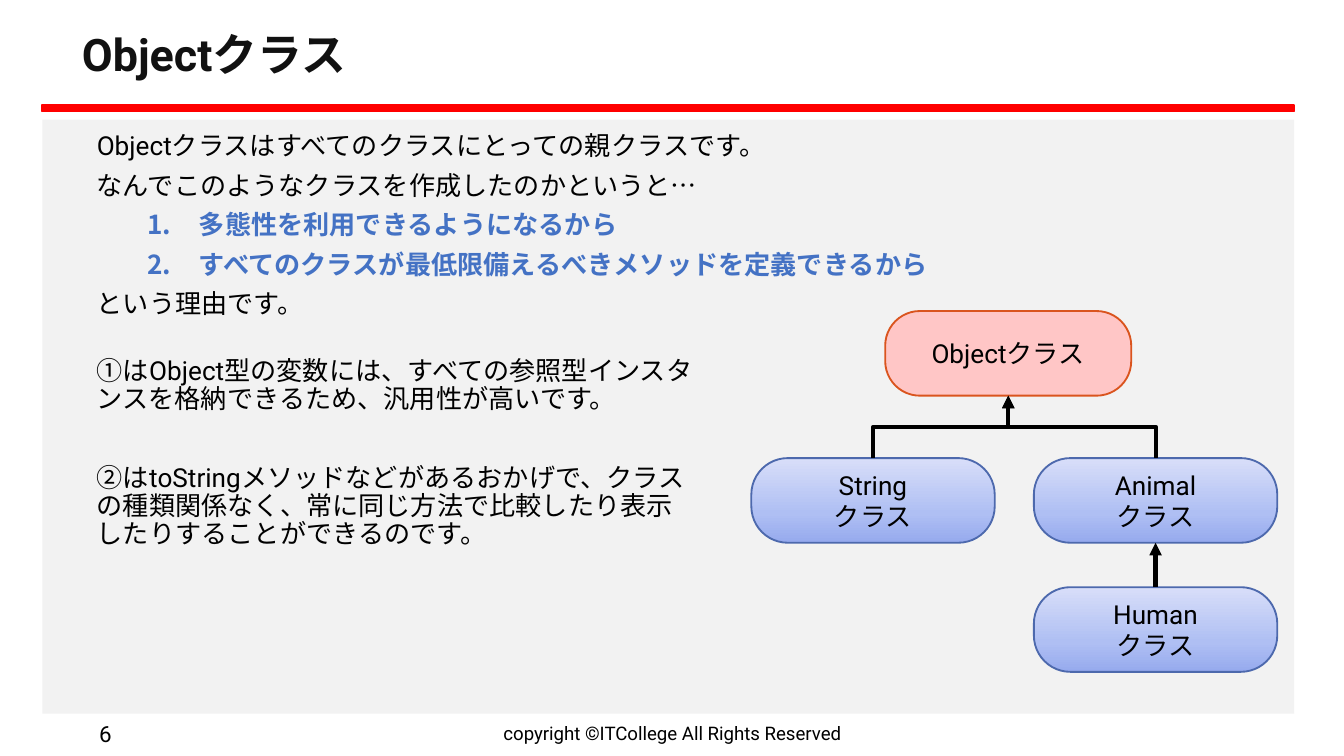
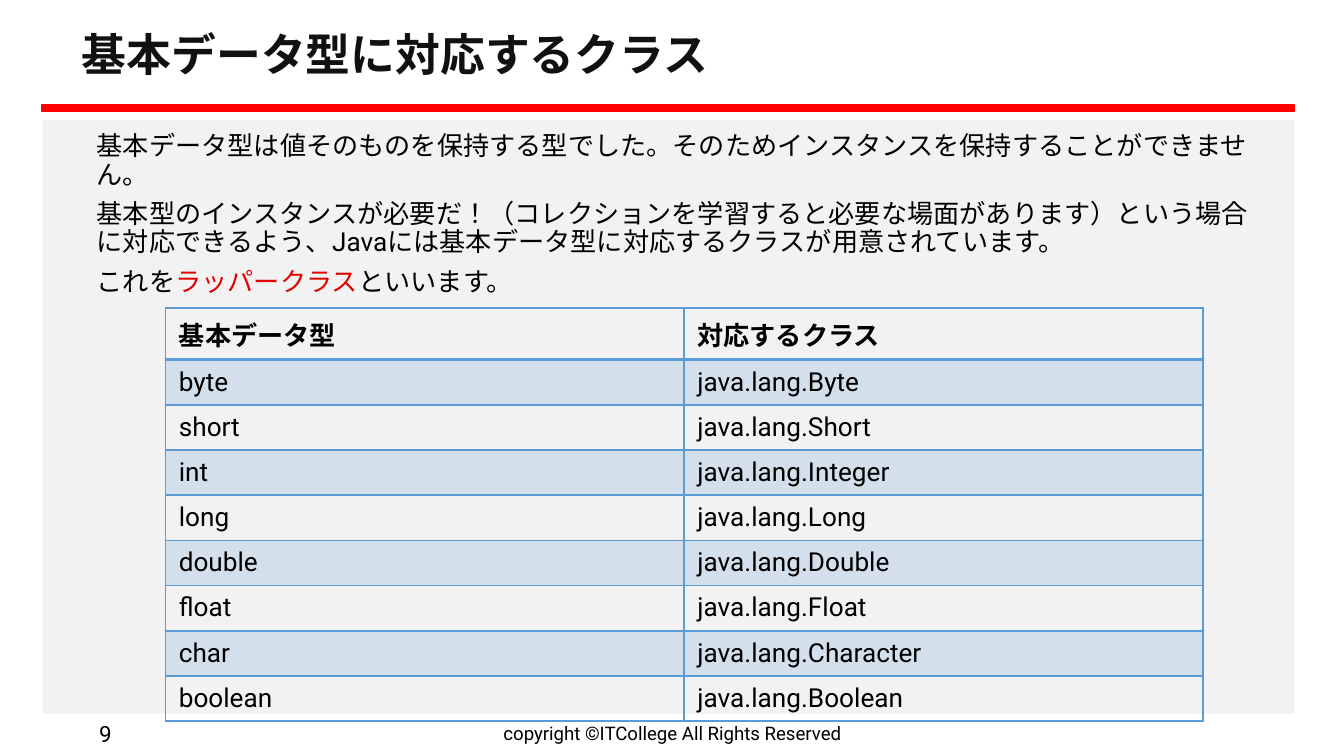
"""Build two slides on the Java Object class and the wrapper classes."""
from copy import deepcopy
from dataclasses import dataclass
from typing import Any, NamedTuple

from lxml import etree
from pptx import Presentation
from pptx.dml.color import RGBColor
from pptx.enum.lang import MSO_LANGUAGE_ID
from pptx.enum.shapes import MSO_CONNECTOR, MSO_SHAPE
from pptx.enum.text import MSO_ANCHOR, PP_ALIGN
from pptx.oxml.ns import qn
from pptx.util import Cm, Pt

RECT, ROUND = MSO_SHAPE.RECTANGLE, MSO_SHAPE.ROUNDED_RECTANGLE
STRAIGHT, ELBOW = MSO_CONNECTOR.STRAIGHT, MSO_CONNECTOR.ELBOW
LEFT, CENTER, RIGHT = PP_ALIGN.LEFT, PP_ALIGN.CENTER, PP_ALIGN.RIGHT
TOP, MIDDLE = MSO_ANCHOR.TOP, MSO_ANCHOR.MIDDLE
JAPANESE = MSO_LANGUAGE_ID.JAPANESE
UPPER_SIDE, LOWER_SIDE = 0, 2

COLORS = {
    "paper": "FFFFFF", "panel": "F2F2F2", "bar": "FF0000", "ink": "000000",
    "title": "111111", "reason": "4472C4", "term": "E10000",
    "root": "FFC6C6", "rim": "DA541E", "edge": "4D69AD", "grid": "5B9BD5",
    "deep": "96AAEE", "mid": "AFBFF3", "pale": "D8DEF9",
}
FADE = ((0, "deep"), (0.35, "mid"), (1, "pale"))
FONT = {"name": "Roboto", "language_id": JAPANESE}
PAD = {"margin_left": Cm(0.25), "margin_right": Cm(0.25),
       "margin_top": Cm(0.13), "margin_bottom": Cm(0.13), "word_wrap": True}
SIDES = ("L", "R", "T", "B")
THICK = {(0, "B"), (1, "T")}


class Box(NamedTuple):
    """Hold a place and a size in centimetres."""
    left: float
    top: float
    width: float
    height: float

    def emu(self) -> list[int]:
        """Return the four lengths for a shape call."""
        return [Cm(side) for side in self]


class Run(NamedTuple):
    """Hold text in one colour and weight."""
    text: str
    color: str = "ink"
    bold: bool = False


class Para(NamedTuple):
    """Hold the runs and indents of one paragraph."""
    runs: tuple[Run, ...]
    left: float = 0
    hang: float = 0
    before: float = 0
    number: bool = False


@dataclass(frozen=True)
class Look:
    """Hold the settings shared by one kind of text."""
    size: int
    align: Any = LEFT
    anchor: Any = MIDDLE
    lines: float = 1.0
    pad: float = 0.13


@dataclass(frozen=True)
class Node:
    """Describe one class in the tree."""
    name: str
    box: Box
    lines: tuple[str, ...]
    round: float = 0.43
    root: bool = False


TITLE = Look(24, lines=0.9, pad=0.25)
BODY = Look(14, anchor=TOP, lines=0.9)
NODE = Look(14, CENTER)
CELL = Look(14, anchor=TOP)
FOOT = Look(10, CENTER)
PAGE = Look(12, RIGHT)

PANEL_BOX = Box(0.8, 2.26, 23.66, 11.23)
BAR_BOX = Box(0.8, 1.98, 23.66, 0.13)
TITLE_BOX = Box(1.3, 0.33, 22.83, 1.5)
FOOT_BOX = Box(8.41, 13.51, 8.59, 0.71)
PAGE_BOX = Box(0.61, 13.51, 1.75, 0.71)
NOTE_BOX = Box(1.3, 6.63, 12.17, 6.58)

NODES = (
    Node("Object", Box(16.73, 5.88, 4.65, 1.6), ("Objectクラス",), 0.41, True),
    Node("String", Box(14.2, 8.66, 4.6, 1.6), ("String", "クラス")),
    Node("Animal", Box(19.54, 8.66, 4.6, 1.6), ("Animal", "クラス")),
    Node("Human", Box(19.54, 11.1, 4.6, 1.6), ("Human", "クラス")),
)
LINKS = (("String", "Object"), ("Animal", "Object"), ("Human", "Animal"))
ROWS = (
    ("基本データ型", "対応するクラス"),
    ("byte", "java.lang.Byte"), ("short", "java.lang.Short"),
    ("int", "java.lang.Integer"), ("long", "java.lang.Long"),
    ("double", "java.lang.Double"), ("float", "java.lang.Float"),
    ("char", "java.lang.Character"), ("boolean", "java.lang.Boolean"),
)


def rgb(name: str) -> RGBColor:
    """Return a named colour."""
    return RGBColor.from_string(COLORS[name])


def apply(target: Any, values: dict[str, Any]) -> None:
    """Set each value as an attribute of the target."""
    for key, value in values.items():
        setattr(target, key, value)


def plain(text: str, color: str = "ink", bold: bool = False) -> Para:
    """Return a paragraph of one run."""
    return Para((Run(text, color, bold),))


def prose(*runs: Run, before: float = 6) -> Para:
    """Return a body paragraph."""
    return Para(runs, 0.28, before=before)


def reason(text: str) -> Para:
    """Return a numbered body paragraph."""
    return Para((Run(text, "reason", True),), 2.21, -0.97, 6, True)


def write(frame: Any, paras: list[Para], look: Look) -> None:
    """Fill a text frame with paragraphs."""
    for index, para in enumerate(paras):
        line = frame.paragraphs[0] if index == 0 else frame.add_paragraph()
        props = line._p.get_or_add_pPr()
        props.set("marL", str(Cm(para.left)))
        props.set("indent", str(Cm(para.hang)))
        if para.number:
            etree.SubElement(props, qn("a:buAutoNum"), type="arabicPeriod")
        apply(line, {"alignment": look.align, "line_spacing": look.lines,
                     "level": int(para.number),
                     "space_before": Pt(para.before if index else 0)})
        for part in para.runs:
            run = line.add_run()
            run.text = part.text
            apply(run.font, FONT | {"size": Pt(look.size), "bold": part.bold})
            run.font.color.rgb = rgb(part.color)


def fit(frame: Any, look: Look) -> None:
    """Set the margins and anchor of a text frame."""
    apply(frame, PAD | {"margin_top": Cm(look.pad), "margin_bottom": Cm(look.pad),
                        "vertical_anchor": look.anchor})


def label(slide: Any, box: Box, paras: list[Para], look: Look) -> None:
    """Add a text box."""
    frame = slide.shapes.add_textbox(*box.emu()).text_frame
    fit(frame, look)
    write(frame, paras, look)


def block(slide: Any, box: Box, fill: str, line: str = "") -> None:
    """Add a plain rectangle."""
    shape = slide.shapes.add_shape(RECT, *box.emu())
    shape.shadow.inherit = False
    shape.fill.solid()
    shape.fill.fore_color.rgb = rgb(fill)
    if line:
        shape.line.color.rgb = rgb(line)
        shape.line.width = Pt(1)
    else:
        shape.line.fill.background()


def start(deck: Any, title: str, page: int) -> Any:
    """Add a slide with its shared parts."""
    slide = deck.slides.add_slide(deck.slide_layouts[6])
    slide.background.fill.solid()
    slide.background.fill.fore_color.rgb = rgb("paper")
    block(slide, PANEL_BOX, "panel")
    block(slide, BAR_BOX, "bar", "bar")
    label(slide, FOOT_BOX, [plain("copyright ©ITCollege All Rights Reserved")], FOOT)
    label(slide, TITLE_BOX, [plain(title, "title", True)], TITLE)
    label(slide, PAGE_BOX, [plain(str(page))], PAGE)
    return slide


def shade(shape: Any) -> None:
    """Fill a shape with the three-stop fade."""
    shape.fill.gradient()
    shape.fill.gradient_angle = 90
    stops = shape._element.spPr.find(qn("a:gradFill")).find(qn("a:gsLst"))
    stops.insert(1, deepcopy(stops[0]))
    for stop, (place, color) in zip(shape.fill.gradient_stops, FADE):
        stop.position = place
        stop.color.rgb = rgb(color)


def draw(slide: Any, node: Node) -> Any:
    """Add one class of the tree."""
    shape = slide.shapes.add_shape(ROUND, *node.box.emu())
    shape.shadow.inherit = False
    shape.adjustments[0] = node.round
    if node.root:
        shape.fill.solid()
        shape.fill.fore_color.rgb = rgb("root")
    else:
        shade(shape)
    shape.line.color.rgb = rgb("rim" if node.root else "edge")
    shape.line.width = Pt(1)
    fit(shape.text_frame, NODE)
    write(shape.text_frame, [plain(text) for text in node.lines], NODE)
    return shape


def link(slide: Any, child: Any, parent: Any) -> None:
    """Join a child to its parent with an arrow."""
    kind = STRAIGHT if child.left == parent.left else ELBOW
    arrow = slide.shapes.add_connector(kind, 0, 0, 0, 0)
    arrow.begin_connect(child, UPPER_SIDE)
    arrow.end_connect(parent, LOWER_SIDE)
    props = arrow._element.spPr
    if kind == ELBOW:
        wide, high = arrow.width, arrow.height
        flip = arrow.begin_x > arrow.end_x
        apply(arrow, {"left": arrow.left + (wide - high) // 2,
                      "top": arrow.top + (high - wide) // 2,
                      "width": high, "height": wide})
        frame = props.find(qn("a:xfrm"))
        for key, value in {"rot": 16200000, "flipH": 0, "flipV": int(flip)}.items():
            frame.set(key, str(value))
    arrow.line.color.rgb = rgb("ink")
    arrow.line.width = Pt(2.25)
    etree.SubElement(props.find(qn("a:ln")), qn("a:tailEnd"), type="triangle")
    etree.SubElement(props, qn("a:effectLst"))


def rule(cell: Any, row: int) -> None:
    """Draw the four borders of a cell."""
    props = cell._tc.get_or_add_tcPr()
    for side in SIDES:
        width = Pt(2 if (row, side) in THICK else 1)
        line = etree.SubElement(props, qn(f"a:ln{side}"), w=str(width))
        fill = etree.SubElement(line, qn("a:solidFill"))
        etree.SubElement(fill, qn("a:srgbClr"), val=COLORS["grid"])


def chart(slide: Any, box: Box) -> None:
    """Add the table of types and classes."""
    table = slide.shapes.add_table(len(ROWS), len(ROWS[0]), *box.emu()).table
    apply(table, {"first_row": False, "horz_banding": False})
    for row, texts in enumerate(ROWS):
        table.rows[row].height = Cm(0.84 if row else 0.98)
        for col, text in enumerate(texts):
            cell = table.cell(row, col)
            rule(cell, row)
            if row % 2:
                cell.fill.solid()
                cell.fill.fore_color.rgb = rgb("grid")
                tint = cell._tc.tcPr.find(qn("a:solidFill"))[0]
                etree.SubElement(tint, qn("a:alpha"), val="20000")
            else:
                cell.fill.background()
            fit(cell, CELL)
            write(cell.text_frame, [plain(text, bold=row == 0)], CELL)


def main() -> None:
    """Build and save the deck."""
    deck = Presentation()
    apply(deck, {"slide_width": Cm(25.4), "slide_height": Cm(14.29)})

    slide = start(deck, "Objectクラス", 6)
    label(slide, Box(1.3, 2.39, 22.83, 3.94), [
        prose(Run("Objectクラスはすべてのクラスにとっての親クラスです。")),
        prose(Run("なんでこのようなクラスを作成したのかというと…")),
        reason("多態性を利用できるようになるから"),
        reason("すべてのクラスが最低限備えるべきメソッドを定義できるから"),
        prose(Run("という理由です。"))], BODY)
    shapes = {node.name: draw(slide, node) for node in NODES}
    for child, parent in LINKS:
        link(slide, shapes[child], shapes[parent])
    label(slide, NOTE_BOX, [
        prose(Run("①はObject型の変数には、すべての参照型インスタンスを格納できるため、汎用性が高いです。")),
        prose(Run("②はtoStringメソッドなどがあるおかげで、クラスの種類関係なく、"
                  "常に同じ方法で比較したり表示したりすることができるのです。"), before=27)], BODY)

    slide = start(deck, "基本データ型に対応するクラス", 9)
    label(slide, Box(1.3, 2.39, 22.83, 3.35), [
        prose(Run("基本データ型は値そのものを保持する型でした。"
                  "そのためインスタンスを保持することができません。")),
        prose(Run("基本型のインスタンスが必要だ！（コレクションを学習すると必要な場面があります）"
                  "という場合に対応できるよう、Javaには基本データ型に対応するクラスが用意されています。")),
        prose(Run("これを"), Run("ラッパークラス", "term"), Run("といいます。"))], BODY)
    chart(slide, Box(3.13, 5.82, 19.6, 7.7))
    deck.save("out.pptx")


if __name__ == "__main__":
    main()
